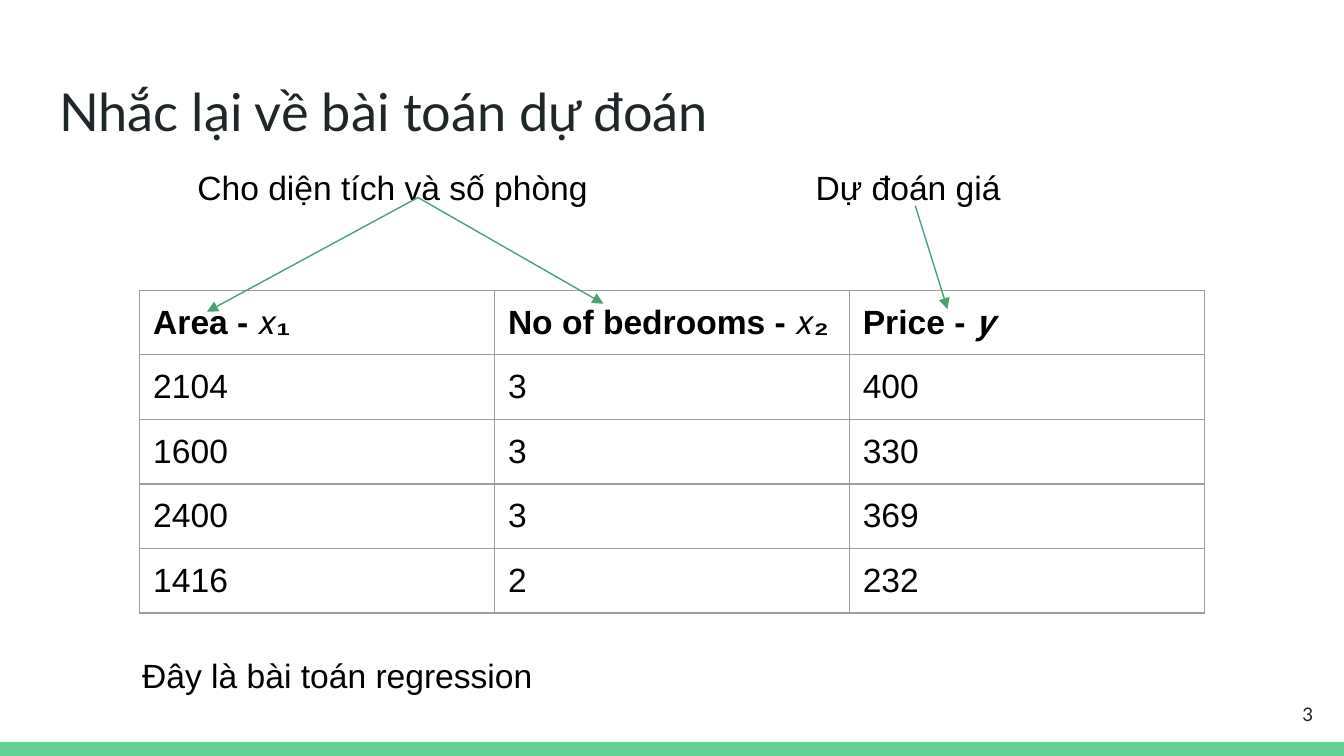
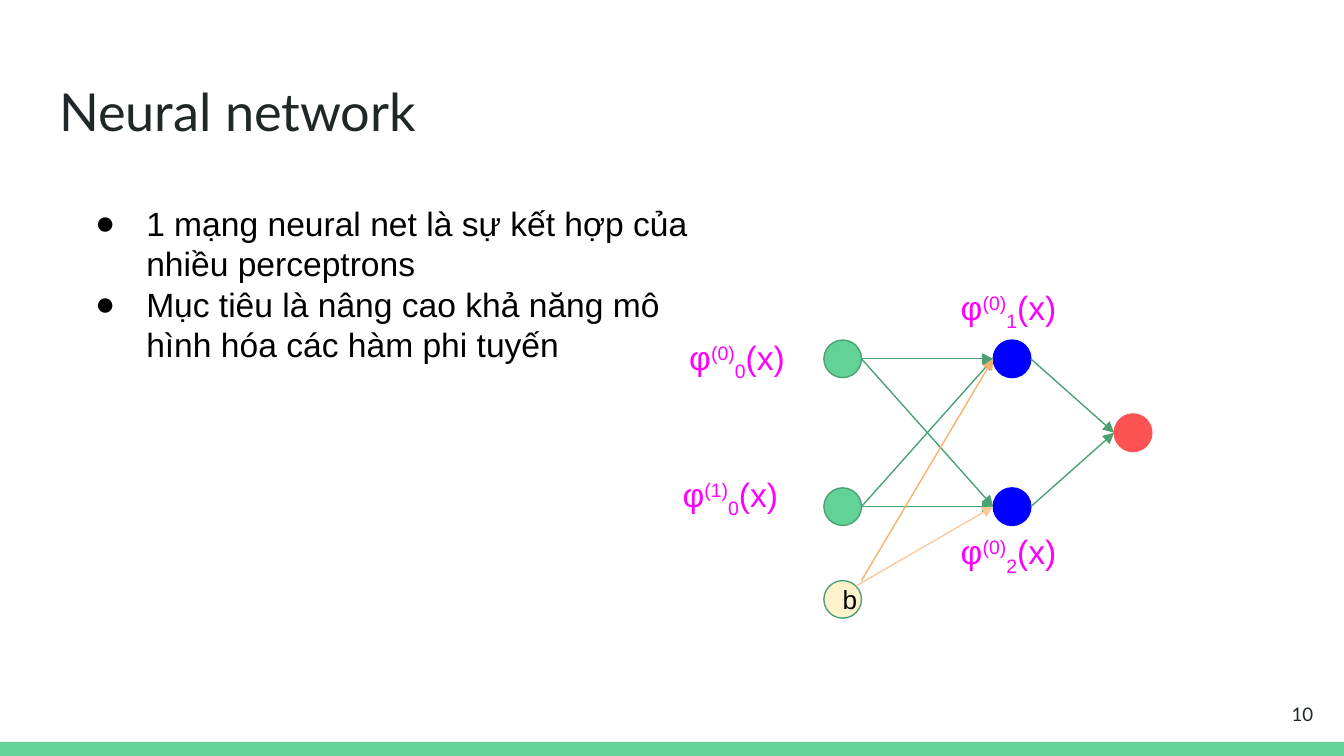
from lxml import etree
from pptx import Presentation
from pptx.dml.color import RGBColor
from pptx.enum.shapes import MSO_CONNECTOR, MSO_SHAPE
from pptx.enum.text import MSO_ANCHOR, MSO_AUTO_SIZE, PP_ALIGN
from pptx.oxml.ns import qn
from pptx.util import Inches, Pt

STRAIGHT = MSO_CONNECTOR.STRAIGHT
RECTANGLE, OVAL = MSO_SHAPE.RECTANGLE, MSO_SHAPE.OVAL
TOP, MIDDLE = MSO_ANCHOR.TOP, MSO_ANCHOR.MIDDLE
LEFT, RIGHT = PP_ALIGN.LEFT, PP_ALIGN.RIGHT
NO_AUTOFIT = MSO_AUTO_SIZE.NONE

WHITE = RGBColor(0xFF, 0xFF, 0xFF)
BLACK = RGBColor(0, 0, 0)
INK = RGBColor(0x20, 0x27, 0x29)
MINT = RGBColor(0x63, 0xD2, 0x97)
GREEN = RGBColor(0x4B, 0xA1, 0x73)
BLUE = RGBColor(0, 0, 0xFF)
RED = RGBColor(0xFF, 0x52, 0x52)
CREAM = RGBColor(0xFF, 0xF2, 0xCC)
ORANGE = RGBColor(0xF6, 0xB2, 0x6B)
PEACH = RGBColor(0xF9, 0xCB, 0x9C)
MAGENTA = RGBColor(0xFF, 0, 0xFF)
GREY = RGBColor(0x9E, 0x9E, 0x9E)

TITLE_FONT, BODY_FONT = "Lato", "Arial"
LINE_WIDTH = Pt(0.75)
INSET = Inches(0.1)
NODE = 0.28
INPUT_X, HIDDEN_X, OUTPUT_X = 6.13, 7.39, 8.29
UPPER_Y, LOWER_Y, OUTPUT_Y = 2.67, 3.77, 3.22

HOUSES = [
    ("Area - 𝑥₁", "No of bedrooms - 𝑥₂", "Price - "),
    ("2104", "3", "400"),
    ("1600", "3", "330"),
    ("2400", "3", "369"),
    ("1416", "2", "232"),
]
BULLETS = [
    "1 mạng neural net là sự kết hợp của nhiều perceptrons",
    "Mục tiêu là nâng cao khả năng mô hình hóa các hàm phi tuyến",
]


def set_font(para, size=18, color=BLACK, name=BODY_FONT, bold=False):
    para.font.size = Pt(size)
    para.font.color.rgb = color
    para.font.name = name
    para.font.bold = bold


def set_frame(frame, anchor=TOP):
    frame.word_wrap = True
    frame.auto_size = NO_AUTOFIT
    frame.vertical_anchor = anchor
    frame.margin_left = frame.margin_right = INSET
    frame.margin_top = frame.margin_bottom = INSET


def add_text(page, text, left, top, width, height, anchor=TOP):
    """Add a text box and return its first paragraph."""
    box = page.shapes.add_textbox(*map(Inches, (left, top, width, height)))
    set_frame(box.text_frame, anchor)
    para = box.text_frame.paragraphs[0]
    para.text = text
    set_font(para)
    return para


def add_shape(page, kind, left, top, width, height, fill):
    shape = page.shapes.add_shape(kind, *map(Inches, (left, top, width, height)))
    shape.shadow.inherit = False
    shape.fill.solid()
    shape.fill.fore_color.rgb = fill
    shape.line.fill.background()
    return shape


def add_arrow(page, start, end, color=GREEN):
    arrow = page.shapes.add_connector(STRAIGHT, *map(Inches, (*start, *end)))
    arrow.line.color.rgb = color
    arrow.line.width = LINE_WIDTH
    properties = arrow.element.spPr
    etree.SubElement(properties.find(qn("a:ln")), qn("a:tailEnd"), type="triangle")
    etree.SubElement(properties, qn("a:effectLst"))


def add_band(page):
    """Place the green foot band on the layout that the pages share."""
    band = add_shape(page, RECTANGLE, 0, 5.52, 10, 0.11, MINT)
    page.slide_layout.element.cSld.spTree.append(band.element)


def add_page(deck, title, number):
    page = deck.slides.add_slide(deck.slide_layouts[5])
    heading = page.shapes.title
    heading.left, heading.top = Inches(0.34), Inches(0.49)
    heading.width, heading.height = Inches(9.32), Inches(0.63)
    heading.text_frame.text = title
    set_frame(heading.text_frame)
    para = heading.text_frame.paragraphs[0]
    para.alignment = LEFT
    set_font(para, 28, INK, TITLE_FONT)
    footer = add_text(page, number, 9.27, 5.1, 0.6, 0.43, MIDDLE)
    footer.alignment = RIGHT
    set_font(footer, 10, INK, TITLE_FONT)
    return page


def set_borders(cell):
    properties = cell._tc.get_or_add_tcPr()
    for index, side in enumerate(("lnL", "lnR", "lnT", "lnB")):
        border = etree.Element(qn(f"a:{side}"), w=str(LINE_WIDTH))
        fill = etree.SubElement(border, qn("a:solidFill"))
        etree.SubElement(fill, qn("a:srgbClr"), val=str(GREY))
        properties.insert(index, border)


def add_house_table(page):
    frame = page.shapes.add_table(len(HOUSES), len(HOUSES[0]), Inches(1.04),
                                  Inches(2.16), Inches(7.92), Inches(2.4))
    table = frame.table
    table.first_row = table.horz_banding = False
    for row, values in enumerate(HOUSES):
        for column, value in enumerate(values):
            cell = table.cell(row, column)
            cell.margin_left = cell.margin_right = INSET
            cell.margin_top = cell.margin_bottom = INSET
            cell.fill.background()
            set_borders(cell)
            para = cell.text_frame.paragraphs[0]
            para.text = value
            set_font(para, bold=row == 0)
    span = table.cell(0, 2).text_frame.paragraphs[0].add_run()
    span.text = "𝐲"
    span.font.italic = True


def set_bullet(para):
    properties = para._p.get_or_add_pPr()
    properties.set("marL", str(Inches(0.5)))
    properties.set("indent", str(Inches(-0.38)))
    color = etree.SubElement(properties, qn("a:buClr"))
    etree.SubElement(color, qn("a:srgbClr"), val=str(BLACK))
    etree.SubElement(properties, qn("a:buSzPts"), val="1800")
    etree.SubElement(properties, qn("a:buFont"), typeface=BODY_FONT)
    etree.SubElement(properties, qn("a:buChar"), char="●")


def add_bullets(page):
    box = page.shapes.add_textbox(*map(Inches, (0.49, 1.41, 4.76, 1.62)))
    frame = box.text_frame
    set_frame(frame)
    for index, text in enumerate(BULLETS):
        para = frame.add_paragraph() if index else frame.paragraphs[0]
        para.text = text
        set_bullet(para)
        set_font(para)


def add_node(page, left, middle, fill, outline):
    node = add_shape(page, OVAL, left, middle - NODE / 2, NODE, NODE, fill)
    node.line.color.rgb = outline
    node.line.width = LINE_WIDTH
    return node


def add_phi(page, upper, lower, left, top, width):
    """Add a label φ(x) with an upper and a lower index."""
    para = add_text(page, "", left, top, width, 0.43, MIDDLE)
    set_font(para, color=MAGENTA)
    for text, baseline in (("φ", 0), (upper, 30), (lower, -25), ("(x)", 0)):
        span = para.add_run()
        span.text = text
        if baseline:
            span._r.get_or_add_rPr().set("baseline", str(baseline * 1000))


def add_network(page):
    for y in (UPPER_Y, LOWER_Y):
        add_node(page, INPUT_X, y, MINT, GREEN)
        add_node(page, HIDDEN_X, y, BLUE, BLUE)
        for target in (UPPER_Y, LOWER_Y):
            add_arrow(page, (INPUT_X + NODE, y), (HIDDEN_X, target))
        add_arrow(page, (HIDDEN_X + NODE, y), (OUTPUT_X, OUTPUT_Y))
    add_node(page, OUTPUT_X, OUTPUT_Y, RED, RED)

    bias = add_node(page, INPUT_X, 4.46, CREAM, GREEN)
    set_frame(bias.text_frame, MIDDLE)
    para = bias.text_frame.paragraphs[0]
    para.text = "b"
    para.alignment = LEFT
    set_font(para, 14)
    add_arrow(page, (6.41, 4.32), (HIDDEN_X, UPPER_Y), ORANGE)
    add_arrow(page, (6.37, 4.36), (HIDDEN_X, LOWER_Y), PEACH)

    add_phi(page, "(0)", "0", 5.03, 2.46, 1.15)
    add_phi(page, "(1)", "0", 4.98, 3.48, 1.19)
    add_phi(page, "(0)", "1", 7.05, 2.09, 1.19)
    add_phi(page, "(0)", "2", 7.05, 3.91, 1.19)


def build_prediction_page(deck):
    page = add_page(deck, "Nhắc lại về bài toán dự đoán", "3")
    add_band(page)
    add_house_table(page)
    add_text(page, "Cho diện tích và số phòng", 1.37, 1.14, 3.49, 0.33)
    add_text(page, "Dự đoán giá", 5.97, 1.14, 1.69, 0.39)
    add_text(page, "Đây là bài toán regression", 0.96, 4.77, 3.79, 0.39)
    add_arrow(page, (3.11, 1.47), (1.54, 2.32))
    add_arrow(page, (3.11, 1.47), (4.49, 2.26))
    add_arrow(page, (6.81, 1.53), (7.05, 2.3))


def build_network_page(deck):
    page = add_page(deck, "Neural network", "10")
    add_bullets(page)
    add_network(page)


def main():
    deck = Presentation()
    deck.slide_width = Inches(10)
    deck.slide_height = deck.slide_width * 9 // 16
    background = deck.slide_master.background.fill
    background.solid()
    background.fore_color.rgb = WHITE
    build_prediction_page(deck)
    build_network_page(deck)
    deck.save("out.pptx")


if __name__ == "__main__":
    main()
